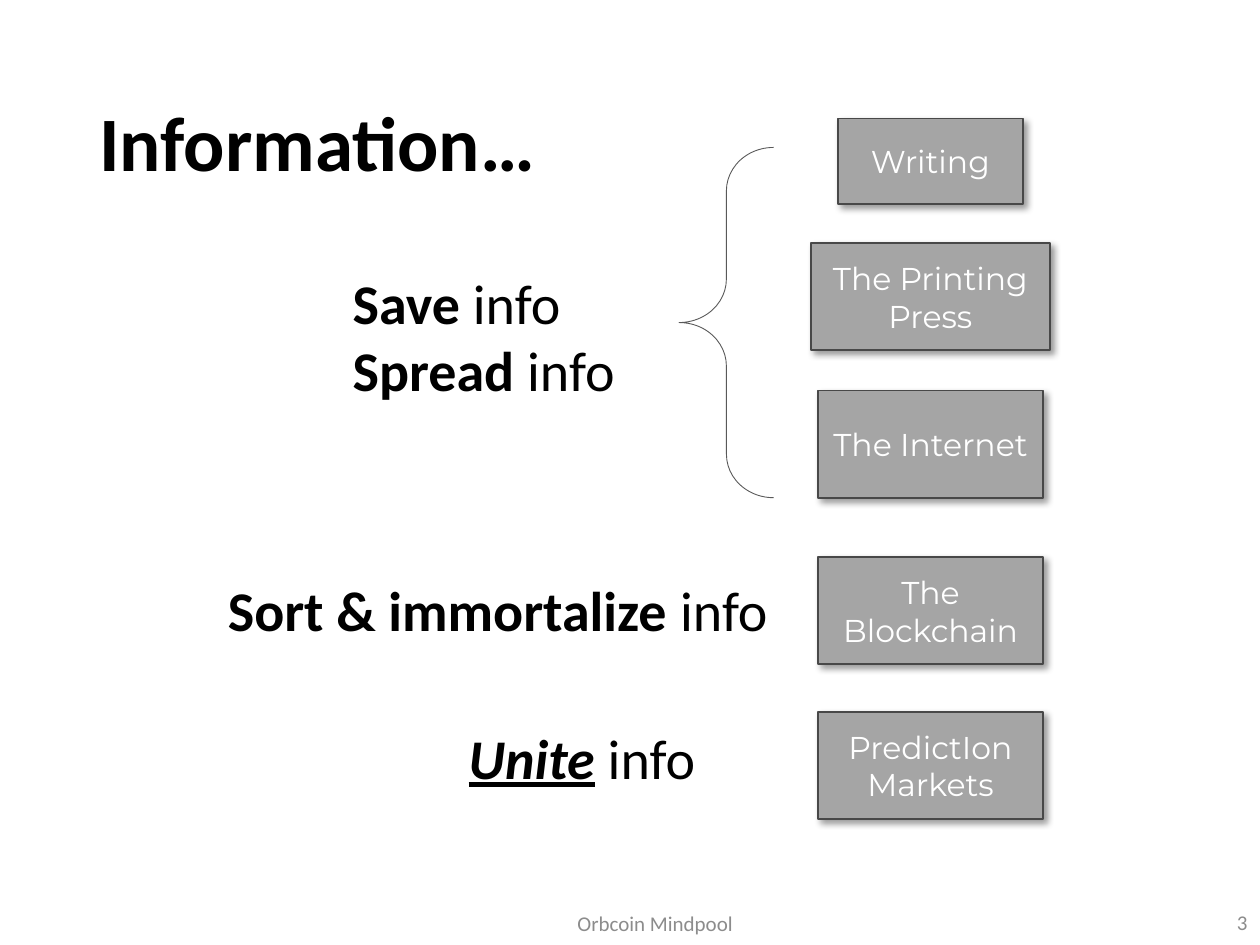
from dataclasses import dataclass

from lxml.etree import SubElement
from pptx import Presentation
from pptx.dml.color import RGBColor
from pptx.enum.shapes import MSO_SHAPE
from pptx.enum.text import MSO_ANCHOR, PP_ALIGN
from pptx.oxml.ns import qn
from pptx.util import Inches, Pt

BOX_CENTER = 7.385
BOLD = {"bold": True}
UNITE = {"bold": True, "italic": True, "underline": True}


@dataclass
class Box:
    """A grey milestone box centred on the right-hand column."""
    text: str
    top: float
    width: float = 1.79
    height: float = 0.85


@dataclass
class Label:
    """A text box holding paragraphs of (text, format) runs."""
    at: tuple
    paragraphs: list
    size: int = 32
    color: str = "000000"
    align: PP_ALIGN = PP_ALIGN.LEFT
    anchor: MSO_ANCHOR = MSO_ANCHOR.TOP
    wrap: bool = False
    spacing: float = 1.0


BOXES = [
    Box("Writing", 0.94, 1.47, 0.68),
    Box("The Printing Press", 1.93, 1.9),
    Box("The Internet", 3.1),
    Box("The Blockchain", 4.42),
    Box("PredictIon Markets", 5.65),
]
FOOTER = {"size": 12, "color": "8C8C8C", "anchor": MSO_ANCHOR.MIDDLE, "wrap": True}
LABELS = [
    Label((0.69, 0.39, 4.34, 1.54), [[("Information…", BOLD)]], 44,
          anchor=MSO_ANCHOR.MIDDLE, wrap=True, spacing=0.9),
    Label((2.7, 2.08, 2.32, 1.18), [[("Save ", BOLD), ("info", {})],
                                    [("Spread ", BOLD), ("info", {})]]),
    Label((1.71, 4.52, 4.55, 0.64), [[("Sort & immortalize ", BOLD), ("info", {})]]),
    Label((3.62, 5.69, 2.05, 0.64), [[("Unite", UNITE), (" ", BOLD), ("info", {})]]),
    Label((3.51, 7.13, 3.38, 0.4), [[("Orbcoin Mindpool", {})]],
          align=PP_ALIGN.CENTER, **FOOTER),
    Label((7.75, 7.12, 2.25, 0.4), [[("3", {})]], align=PP_ALIGN.RIGHT, **FOOTER),
]


def rgb(color: str) -> RGBColor:
    """Turn a hex string into a colour."""
    return RGBColor.from_string(color)


def add_run(p, text: str, font: str, size: int, color: str, formats: dict) -> None:
    """Append a formatted run to a paragraph."""
    r = p.add_run()
    r.text = text
    for name, value in {"name": font, "size": Pt(size), **formats}.items():
        setattr(r.font, name, value)
    r.font.color.rgb = rgb(color)


def add_shadow(sp) -> None:
    """Give a shape a soft diagonal outer shadow."""
    effects = sp._element.spPr.find(qn("a:effectLst"))
    shadow = SubElement(effects, qn("a:outerShdw"), blurRad=str(Pt(4)),
                        dist=str(Pt(3)), dir="2700000", algn="tl", rotWithShape="0")
    color = SubElement(shadow, qn("a:srgbClr"), val="000000")
    SubElement(color, qn("a:alpha"), val="40000")


def add_outlined(s, kind: MSO_SHAPE, at: tuple, line: str, width: float):
    """Draw a preset shape with an outline and no theme shadow."""
    sp = s.shapes.add_shape(kind, *map(Inches, at))
    sp.shadow.inherit = False
    sp.line.color.rgb = rgb(line)
    sp.line.width = Pt(width)
    return sp


def add_box(s, box: Box) -> None:
    """Draw one milestone box."""
    at = (BOX_CENTER - box.width / 2, box.top, box.width, box.height)
    sp = add_outlined(s, MSO_SHAPE.RECTANGLE, at, "484848", 1)
    sp.fill.solid()
    sp.fill.fore_color.rgb = rgb("A5A5A5")
    add_shadow(sp)
    tf = sp.text_frame
    tf.word_wrap = True
    tf.vertical_anchor = MSO_ANCHOR.MIDDLE
    p = tf.paragraphs[0]
    p.alignment = PP_ALIGN.CENTER
    add_run(p, box.text, "Montserrat", 18, "FFFFFF", {})


def add_brace(s) -> None:
    """Draw the brace that groups the first three boxes."""
    sp = add_outlined(s, MSO_SHAPE.LEFT_BRACE, (5.39, 1.17, 0.75, 2.78), "595959", 0.5)
    sp.fill.background()
    sp.adjustments[0] = 0.46
    sp.adjustments[1] = 0.5


def add_label(s, label: Label) -> None:
    """Draw one text box with its runs."""
    tf = s.shapes.add_textbox(*map(Inches, label.at)).text_frame
    tf.word_wrap = label.wrap
    tf.vertical_anchor = label.anchor
    for i, runs in enumerate(label.paragraphs):
        p = tf.add_paragraph() if i else tf.paragraphs[0]
        p.alignment = label.align
        p.line_spacing = label.spacing
        for text, formats in runs:
            add_run(p, text, "Calibri", label.size, label.color, formats)


def main() -> None:
    """Build and save the slide."""
    prs = Presentation()
    prs.slide_width, prs.slide_height = Inches(10), Inches(7.5)
    s = prs.slides.add_slide(prs.slide_layouts[6])
    for box in BOXES:
        add_box(s, box)
    add_brace(s)
    for label in LABELS:
        add_label(s, label)
    prs.save("out.pptx")


if __name__ == "__main__":
    main()
